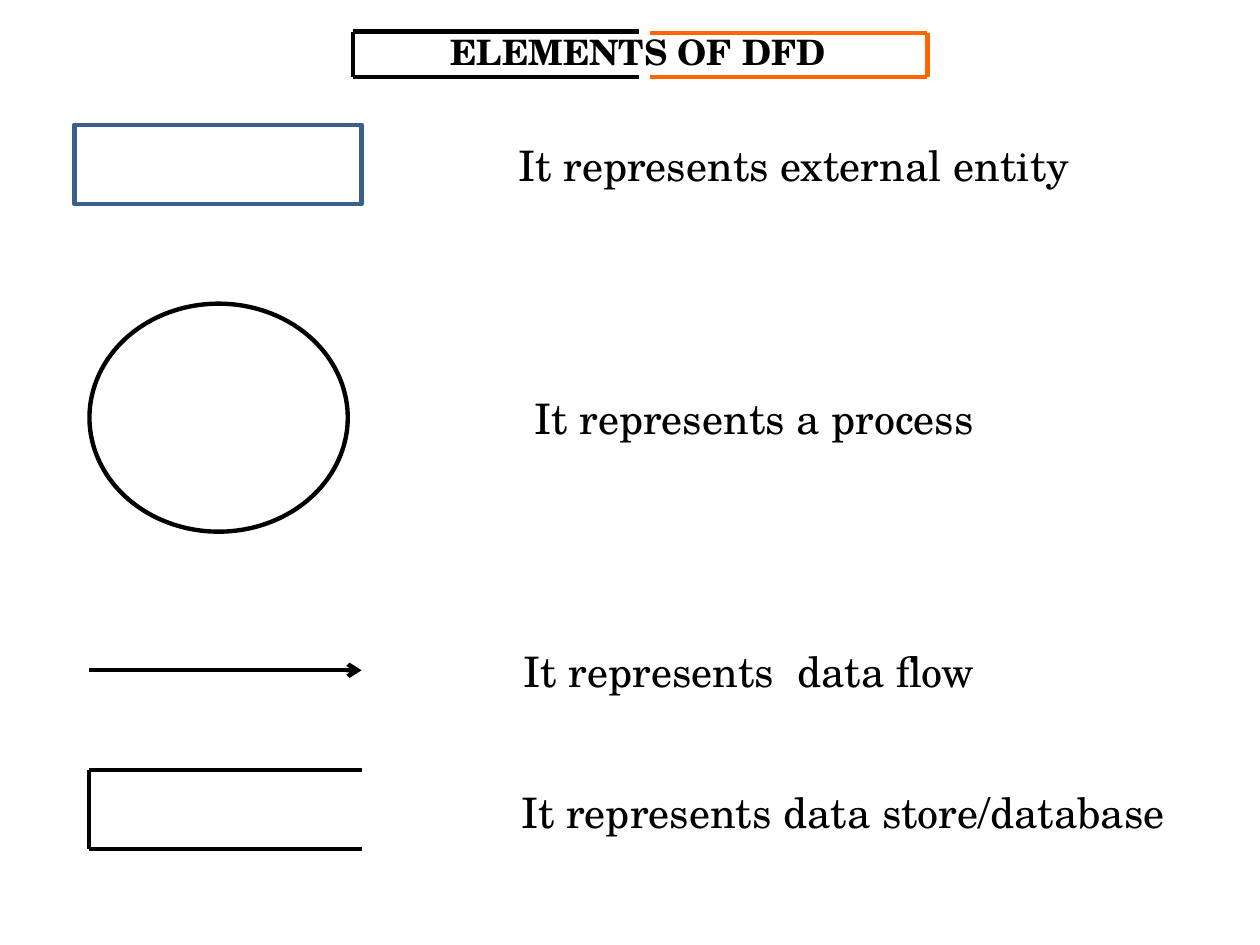
from pptx import Presentation
from pptx.dml.color import RGBColor
from pptx.enum.shapes import MSO_CONNECTOR, MSO_SHAPE
from pptx.enum.text import MSO_ANCHOR, PP_ALIGN
from pptx.oxml.ns import qn
from pptx.util import Inches, Pt
from lxml.etree import SubElement

BLACK = RGBColor(0x00, 0x00, 0x00)
WHITE = RGBColor(0xFF, 0xFF, 0xFF)
BLUE = RGBColor(0x3A, 0x5F, 0x8C)
ORANGE = RGBColor(0xFF, 0x66, 0x00)
FONT = "TeX Gyre Schola"
ROW = 0.63  # height of a label, the entity and the store


def write(shape, text, size=24, bold=False, color=BLACK):
    frame = shape.text_frame
    frame.word_wrap = True
    frame.vertical_anchor = MSO_ANCHOR.MIDDLE
    para = frame.paragraphs[0]
    para.text = text
    para.alignment = PP_ALIGN.CENTER
    font = para.font
    font.name, font.size, font.bold = FONT, Pt(size), bold
    font.color.rgb = color


class Board:
    def __init__(self, slide, width=2.5):
        self.slide = slide
        self.width = width

    def title(self, text, left, top, width, height):
        shape = self.slide.shapes.title
        shape.left, shape.top = Inches(left), Inches(top)
        shape.width, shape.height = Inches(width), Inches(height)
        write(shape, text, size=20, bold=True)

    def shape(self, kind, left, top, width, height, color=None):
        shape = self.slide.shapes.add_shape(
            kind, Inches(left), Inches(top), Inches(width), Inches(height))
        shape.shadow.inherit = False
        shape.fill.solid()
        shape.fill.fore_color.rgb = WHITE
        if color is None:
            shape.line.fill.background()
        else:
            shape.line.color.rgb = color
            shape.line.width = Pt(self.width)
        return shape

    def label(self, text, left, top, width):
        write(self.shape(MSO_SHAPE.RECTANGLE, left, top, width, ROW), text)

    def line(self, start, end, color=BLACK, width=None, arrow=False, group=None):
        shapes = (group or self.slide).shapes
        line = shapes.add_connector(
            MSO_CONNECTOR.STRAIGHT, *map(Inches, (*start, *end)))
        line.line.color.rgb = color
        line.line.width = Pt(width or self.width)
        if arrow:
            SubElement(line.line._get_or_add_ln(), qn("a:tailEnd"), type="arrow")
        SubElement(line._element.spPr, qn("a:effectLst"))

    def bracket(self, spine, tip, top, base, color=BLACK, width=None):
        """Draw a box that is open on the side of its tip."""
        group = self.slide.shapes.add_group_shape()
        for start, end in (((spine, top), (tip, top)),
                           ((spine, base), (tip, base)),
                           ((spine, top), (spine, base))):
            self.line(start, end, color, width, group=group)


def main():
    deck = Presentation()
    deck.slide_width, deck.slide_height = Inches(10), Inches(7.5)
    board = Board(deck.slides.add_slide(deck.slide_layouts[5]))

    board.title("ELEMENTS OF DFD", 2.69, 0.13, 4.75, 0.56)
    board.bracket(2.8, 5.07, 0.25, 0.61)
    board.bracket(7.36, 5.16, 0.26, 0.61, ORANGE)

    board.shape(MSO_SHAPE.RECTANGLE, 0.59, 0.99, 2.28, ROW, BLUE)
    board.shape(MSO_SHAPE.OVAL, 0.71, 2.41, 2.05, 1.81, BLACK)
    board.line((0.71, 5.32), (2.87, 5.32), arrow=True)
    board.bracket(0.71, 2.87, 6.11, 6.11 + ROW, width=2.25)

    for text, left, top, width in (
            ("It represents external entity", 3.11, 0.99, 6.38),
            ("It represents a process", 3.11, 3, 5.75),
            ("It represents  data flow", 3.23, 5.01, 5.43),
            ("It represents data store/database", 3.5, 6.13, 6.38)):
        board.label(text, left, top, width)

    deck.save("out.pptx")


if __name__ == "__main__":
    main()
